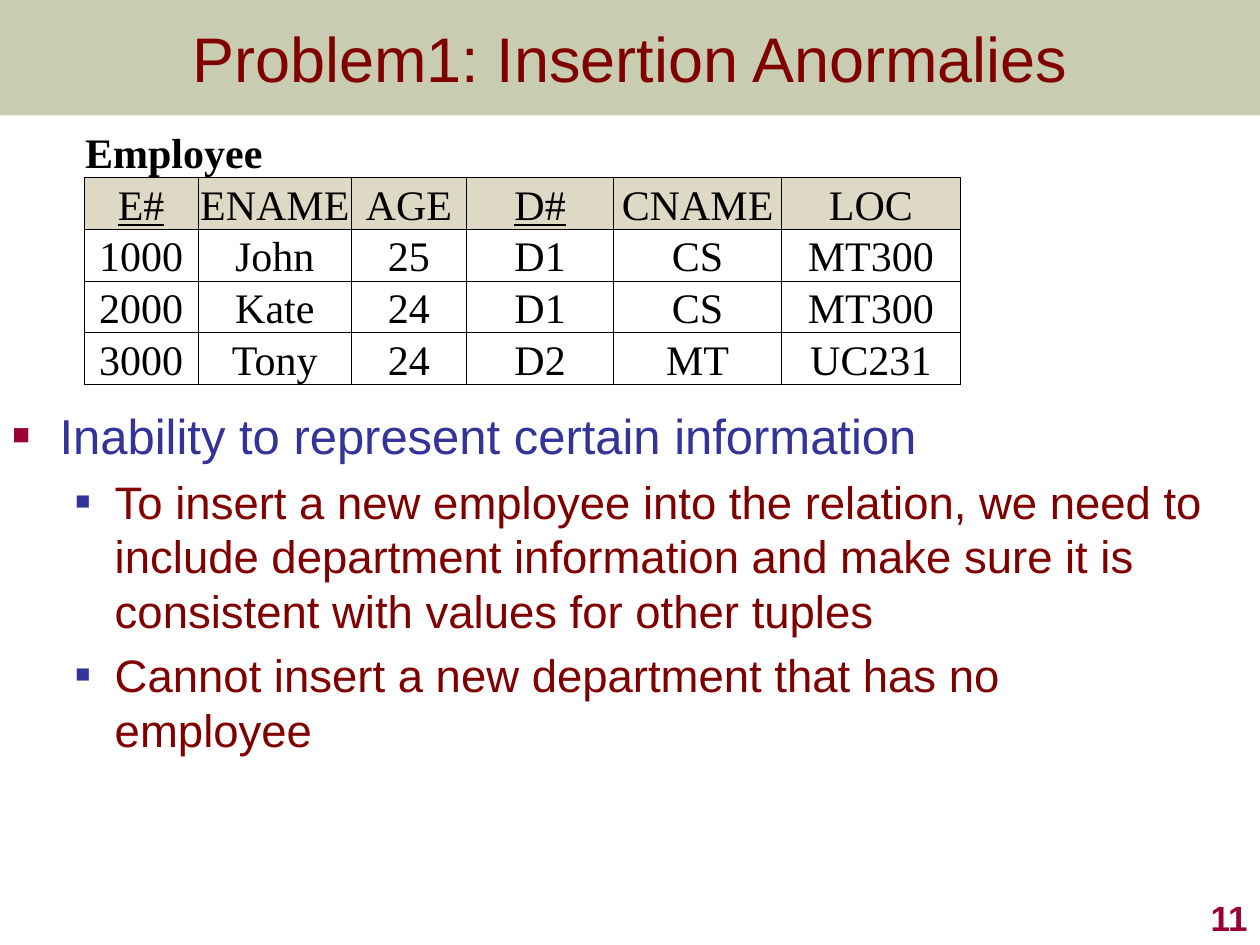
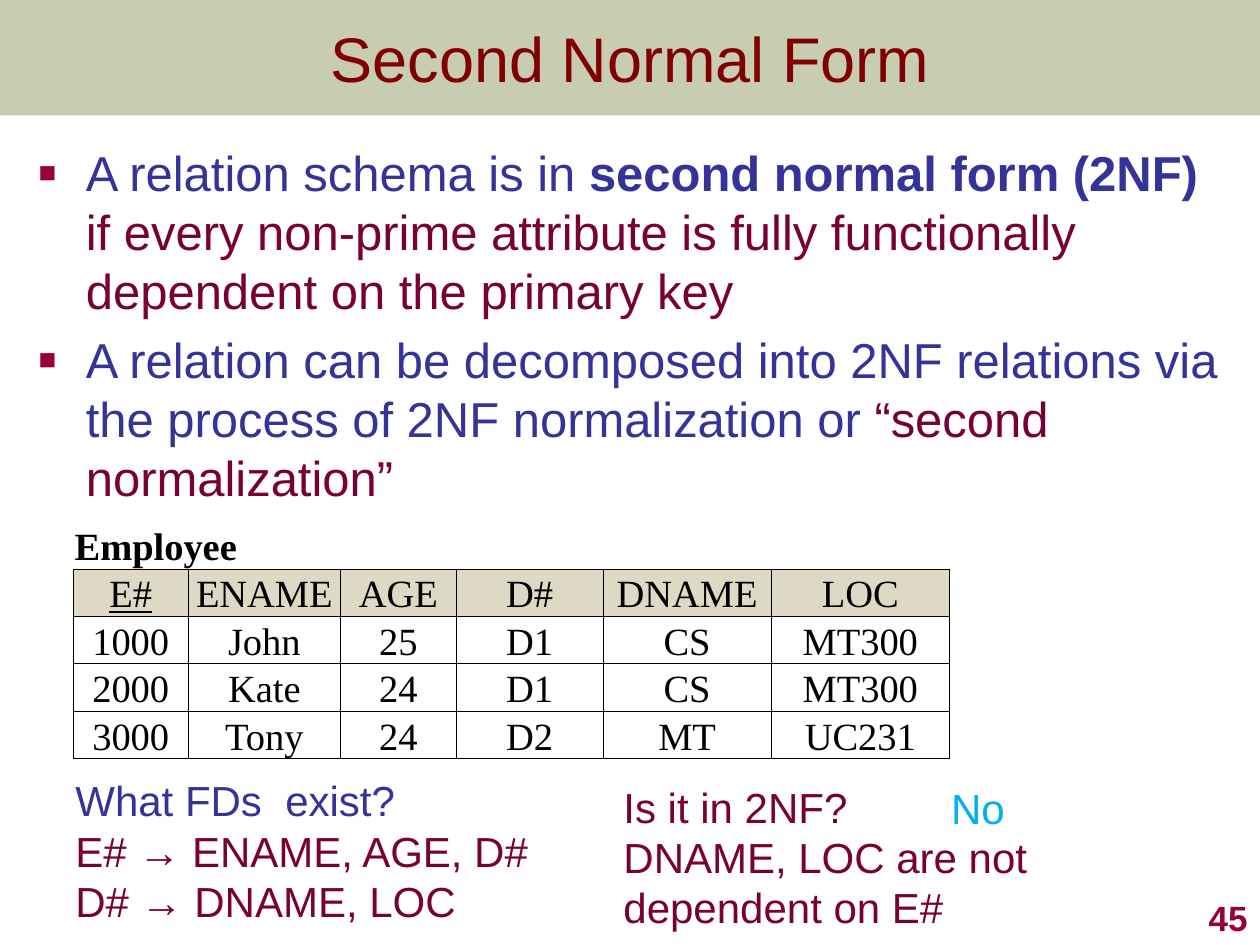
from lxml.etree import SubElement
from pptx import Presentation
from pptx.dml.color import RGBColor
from pptx.enum.shapes import MSO_SHAPE
from pptx.enum.text import MSO_ANCHOR, PP_ALIGN
from pptx.oxml.ns import qn
from pptx.util import Pt

SLIDE_W, SLIDE_H = 720, 540
BAND_H = 66
MAROON, CRIMSON, WINE, NAVY = "800000", "990033", "790033", "333399"
OLIVE, BEIGE, WHITE, BLACK, SKY = "677228", "DDD9C4", "FFFFFF", "000000", "00B0F0"
SANS, SERIF = "Arial", "Times New Roman"

# level: (left margin, hanging indent, bullet colour, bullet size %, text size, space before)
LEVELS = [(27, 27, CRIMSON, 60, 28, 6), (58.5, 22.5, NAVY, 55, 26, 5.5)]

COLUMN_WIDTHS = [65.4, 87.3, 66, 84, 96, 102]
ROW_H = 25.9
EMPLOYEES = [
    ["1000", "John", "25", "D1", "CS", "MT300"],
    ["2000", "Kate", "24", "D1", "CS", "MT300"],
    ["3000", "Tony", "24", "D2", "MT", "UC231"],
]


def color(hex_code):
    return RGBColor.from_string(hex_code)


def set_font(font, size, hex_code, name=SANS, bold=False):
    font.name, font.size, font.bold = name, Pt(size), bold
    font.color.rgb = color(hex_code)


def add_frame(slide, box, anchor=MSO_ANCHOR.TOP, wrap=True):
    frame = slide.shapes.add_textbox(*map(Pt, box)).text_frame
    frame.word_wrap, frame.vertical_anchor = wrap, anchor
    return frame


def add_lines(slide, box, lines, size, align=PP_ALIGN.LEFT,
              anchor=MSO_ANCHOR.TOP, bold=False, wrap=True):
    """Plain text box; lines is a list of (text, colour), one per paragraph."""
    frame = add_frame(slide, box, anchor, wrap)
    for i, (text, hex_code) in enumerate(lines):
        paragraph = frame.add_paragraph() if i else frame.paragraphs[0]
        paragraph.text, paragraph.alignment = text, align
        set_font(paragraph.font, size, hex_code, bold=bold)


def add_bullet(paragraph, level):
    margin, hanging, hex_code, percent, _, _ = LEVELS[level]
    props = paragraph._p.get_or_add_pPr()
    props.set("marL", str(Pt(margin)))
    props.set("indent", str(-Pt(hanging)))
    SubElement(SubElement(props, qn("a:buClr")), qn("a:srgbClr"), val=hex_code)
    SubElement(props, qn("a:buSzPct"), val=str(percent * 1000))
    SubElement(props, qn("a:buFont"), typeface=SANS)
    SubElement(props, qn("a:buChar"), char="■")


def add_bullets(slide, box, items):
    """items is a list of (level, runs); each run is (text, colour, bold)."""
    frame = add_frame(slide, box)
    frame.margin_right = 0
    for i, (level, runs) in enumerate(items):
        paragraph = frame.add_paragraph() if i else frame.paragraphs[0]
        paragraph.level = level
        add_bullet(paragraph, level)
        size, before = LEVELS[level][4:]
        if i:
            paragraph.space_before = Pt(before)
        for text, hex_code, bold in runs:
            run = paragraph.add_run()
            run.text = text
            set_font(run.font, size, hex_code, bold=bold)


def add_title_band(slide, title):
    band = slide.shapes.add_shape(MSO_SHAPE.RECTANGLE, 0, 0, Pt(SLIDE_W), Pt(BAND_H))
    band.shadow.inherit = False
    band.fill.solid()
    band.fill.fore_color.rgb = color(OLIVE)
    fill_color = band._element.spPr.find(qn("a:solidFill"))[0]
    SubElement(fill_color, qn("a:alpha"), val="36000")
    band.line.fill.background()
    add_lines(slide, (0, 0, SLIDE_W, BAND_H), [(title, MAROON)], 36,
              PP_ALIGN.CENTER, MSO_ANCHOR.MIDDLE)


def add_page_number(slide, number):
    width, height = 150, 36
    add_lines(slide, (SLIDE_W - width, SLIDE_H - height, width, height),
              [(number, CRIMSON)], 20, PP_ALIGN.RIGHT, MSO_ANCHOR.BOTTOM, bold=True)


def set_borders(cell, visible_sides):
    props = cell._tc.get_or_add_tcPr()
    for side in "LRTB":
        line = SubElement(props, qn(f"a:ln{side}"), w=str(Pt(0.5)))
        if side in visible_sides:
            SubElement(SubElement(line, qn("a:solidFill")), qn("a:srgbClr"), val=BLACK)
        else:
            SubElement(line, qn("a:noFill"))


def add_employee_table(slide, left, top, size, header, keys):
    """Employee relation under a caption row; the header names in keys are underlined."""
    rows = [["Employee"] + [""] * (len(header) - 1), header, *EMPLOYEES]
    table = slide.shapes.add_table(
        len(rows), len(header), Pt(left), Pt(top),
        Pt(sum(COLUMN_WIDTHS)), Pt(ROW_H * len(rows))).table
    table.first_row = table.horz_banding = False
    for column, width in zip(table.columns, COLUMN_WIDTHS):
        column.width = Pt(width)
    for r, values in enumerate(rows):
        table.rows[r].height = Pt(ROW_H)
        for c, value in enumerate(values):
            cell = table.cell(r, c)
            set_borders(cell, "LRTB" if r else "B")
            cell.fill.solid()
            cell.fill.fore_color.rgb = color(BEIGE if r == 1 else WHITE)
            cell.margin_left = cell.margin_right = cell.margin_top = Pt(0.7)
            cell.margin_bottom = 0
            cell.vertical_anchor = MSO_ANCHOR.BOTTOM
            paragraph = cell.text_frame.paragraphs[0]
            paragraph.text = value
            paragraph.alignment = PP_ALIGN.CENTER if r else PP_ALIGN.LEFT
            set_font(paragraph.font, size, BLACK, SERIF, bold=r == 0)
            paragraph.font.underline = r == 1 and value in keys
    table.cell(0, 0).merge(table.cell(0, len(header) - 1))


def start_slide(deck, title):
    slide = deck.slides.add_slide(deck.slide_layouts[6])
    add_title_band(slide, title)
    return slide


def build_insertion_slide(deck):
    slide = start_slide(deck, "Problem1: Insertion Anormalies")
    add_bullets(slide, (0, 228, 689, 240), [
        (0, [("Inability to represent certain information", NAVY, False)]),
        (1, [("To insert a new employee into the relation, we need to include "
              "department information and make sure it is consistent with values "
              "for other tuples", MAROON, False)]),
        (1, [("Cannot insert a new department that has no employee", MAROON, False)]),
    ])
    add_page_number(slide, "11")
    add_employee_table(slide, 48, 72, 24,
                       ["E#", "ENAME", "AGE", "D#", "CNAME", "LOC"], {"E#", "D#"})


def build_second_form_slide(deck):
    slide = start_slide(deck, "Second Normal Form")
    add_bullets(slide, (15, 78, 689, 450), [
        (0, [("A relation schema is in ", NAVY, False),
             ("second normal form (2NF) ", NAVY, True),
             ("if every non-prime attribute is fully functionally dependent on "
              "the primary key", WINE, False)]),
        (0, [("A relation can be decomposed into 2NF relations via the process of "
              "2NF normalization or ", NAVY, False),
             ("“second normalization”", WINE, False)]),
    ])
    add_page_number(slide, "45")
    add_employee_table(slide, 42, 298, 22,
                       ["E#", "ENAME", "AGE", "D#", "DNAME", "LOC"], {"E#"})
    add_lines(slide, (36, 439.2, 353, 94.3), [
        ("What FDs  exist?", NAVY),
        ("E# → ENAME, AGE, D#", WINE),
        ("D# → DNAME, LOC", WINE)], 24)
    add_lines(slide, (349.2, 442.8, 263, 94.3), [
        ("Is it in 2NF?", WINE),
        ("DNAME, LOC are not dependent on E#", WINE)], 24)
    add_lines(slide, (536.4, 443.5, 45.4, 36), [("No", SKY)], 24, wrap=False)


def main():
    deck = Presentation()
    deck.slide_width, deck.slide_height = Pt(SLIDE_W), Pt(SLIDE_H)
    build_insertion_slide(deck)
    build_second_form_slide(deck)
    deck.save("out.pptx")


if __name__ == "__main__":
    main()
